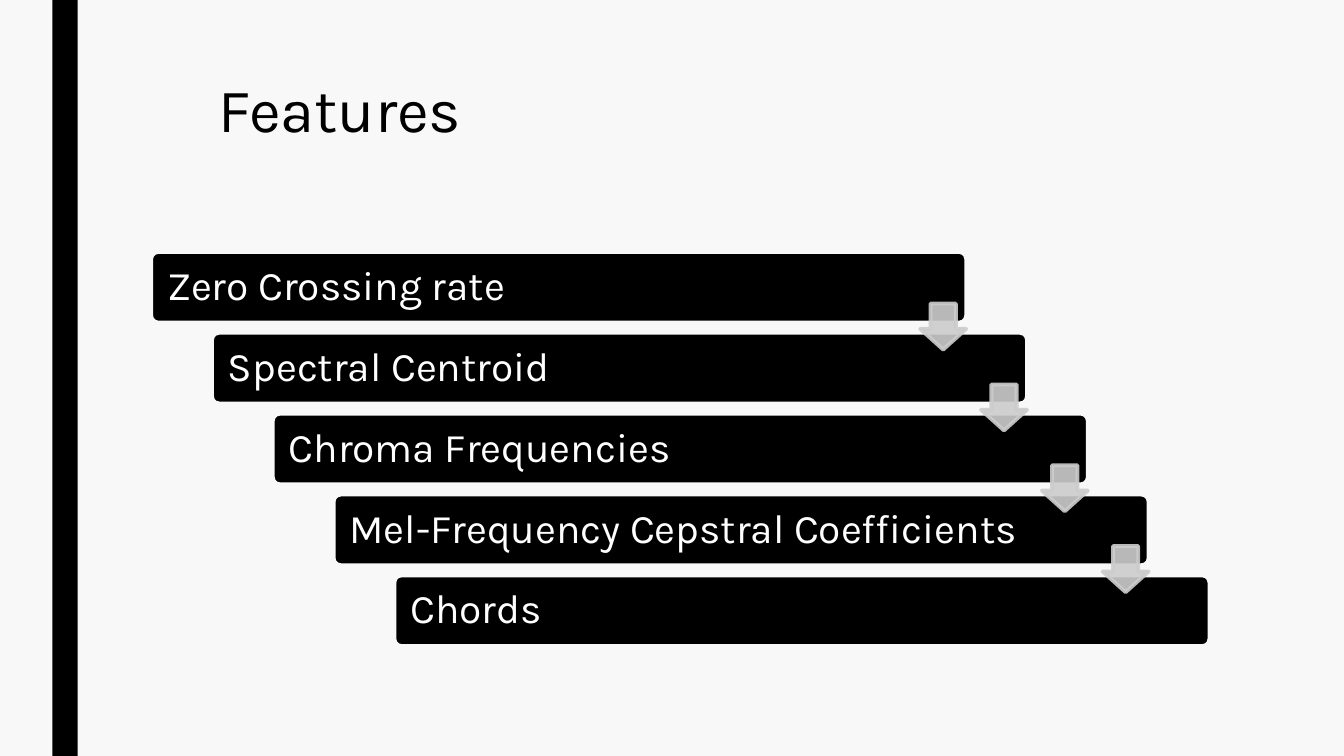
from lxml.etree import SubElement
from pptx import Presentation
from pptx.dml.color import RGBColor
from pptx.enum.shapes import MSO_SHAPE
from pptx.enum.text import MSO_ANCHOR, PP_ALIGN
from pptx.oxml.ns import qn
from pptx.util import Cm, Pt

PAPER, INK, WHITE, GREY = "F8F8F8", "000000", "FFFFFF", "CCCCCC"
FEATURES = [
    "Zero Crossing rate",
    "Spectral Centroid",
    "Chroma Frequencies",
    "Mel-Frequency Cepstral Coefficients",
    "Chords",
]


def color(hex_code):
    return RGBColor.from_string(hex_code)


def set_values(target, values):
    for name, value in values.items():
        setattr(target, name, value)


def set_alpha(fill, percent):
    """Make a solid fill partly transparent."""
    rgb = fill._xPr.find(qn("a:solidFill"))[0]
    SubElement(rgb, qn("a:alpha")).set("val", str(percent * 1000))


def add_block(slide, preset, box, fill, line=None, adjustments=()):
    block = slide.shapes.add_shape(preset, *(Cm(length) for length in box))
    block.shadow.inherit = False
    block.fill.solid()
    block.fill.fore_color.rgb = color(fill)
    if line:
        block.line.color.rgb = color(line)
        block.line.width = Pt(2.75)
    else:
        block.line.fill.background()
    for index, value in enumerate(adjustments):
        block.adjustments[index] = value
    return block


def write(frame, text, size, text_color, line_spacing, frame_values):
    set_values(frame, {"word_wrap": True, **frame_values})
    paragraph = frame.paragraphs[0]
    paragraph.text = text
    set_values(paragraph, {"alignment": PP_ALIGN.LEFT, "line_spacing": line_spacing})
    set_values(paragraph.font, {"name": "Karla", "size": Pt(size)})
    paragraph.font.color.rgb = color(text_color)


def add_title(slide, box, title):
    heading = slide.shapes.add_textbox(*(Cm(length) for length in box))
    write(heading.text_frame, title, 44, INK, 0.89,
          {"margin_left": Cm(1.7), "vertical_anchor": MSO_ANCHOR.TOP})


def add_staircase(slide, box, features):
    """Step bars from the top left to the bottom right of the box."""
    left, top, width, height = box
    bar_width, bar_height, arrow_size, arrow_drop = 20.54, 1.78, 1.16, 1.3
    gaps = len(features) - 1
    step_x = (width - bar_width) / gaps
    step_y = (height - bar_height) / gaps
    corners = [(left + i * step_x, top + i * step_y) for i in range(len(features))]

    # Feature bars
    for feature, (x, y) in zip(features, corners):
        bar = add_block(slide, MSO_SHAPE.ROUNDED_RECTANGLE,
                        (x, y, bar_width, bar_height), INK, PAPER, [0.1])
        write(bar.text_frame, feature, 29, WHITE, 0.9,
              {"margin_left": Cm(0.35), "vertical_anchor": MSO_ANCHOR.MIDDLE})

    # Arrows to the next bar
    for x, y in corners[:-1]:
        arrow_box = (x + bar_width - arrow_size, y + arrow_drop, arrow_size, arrow_size)
        arrow = add_block(slide, MSO_SHAPE.DOWN_ARROW, arrow_box, GREY, GREY, [0.55, 0.45])
        set_alpha(arrow.fill, 90)
        set_alpha(arrow.line.fill, 90)


def add_features_slide(deck):
    slide = deck.slides.add_slide(deck.slide_layouts[6])
    slide.background.fill.solid()
    slide.background.fill.fore_color.rgb = color(PAPER)
    # Side stripe
    add_block(slide, MSO_SHAPE.RECTANGLE, (1.32, 0, 0.64, 19.05), INK)
    add_title(slide, (3.81, 1.9, 26.67, 4.11), "Features")
    add_staircase(slide, (3.81, 6.35, 26.67, 9.93), FEATURES)


def main():
    deck = Presentation()
    set_values(deck, {"slide_width": Cm(33.87), "slide_height": Cm(19.05)})
    add_features_slide(deck)
    deck.save("out.pptx")


if __name__ == "__main__":
    main()
